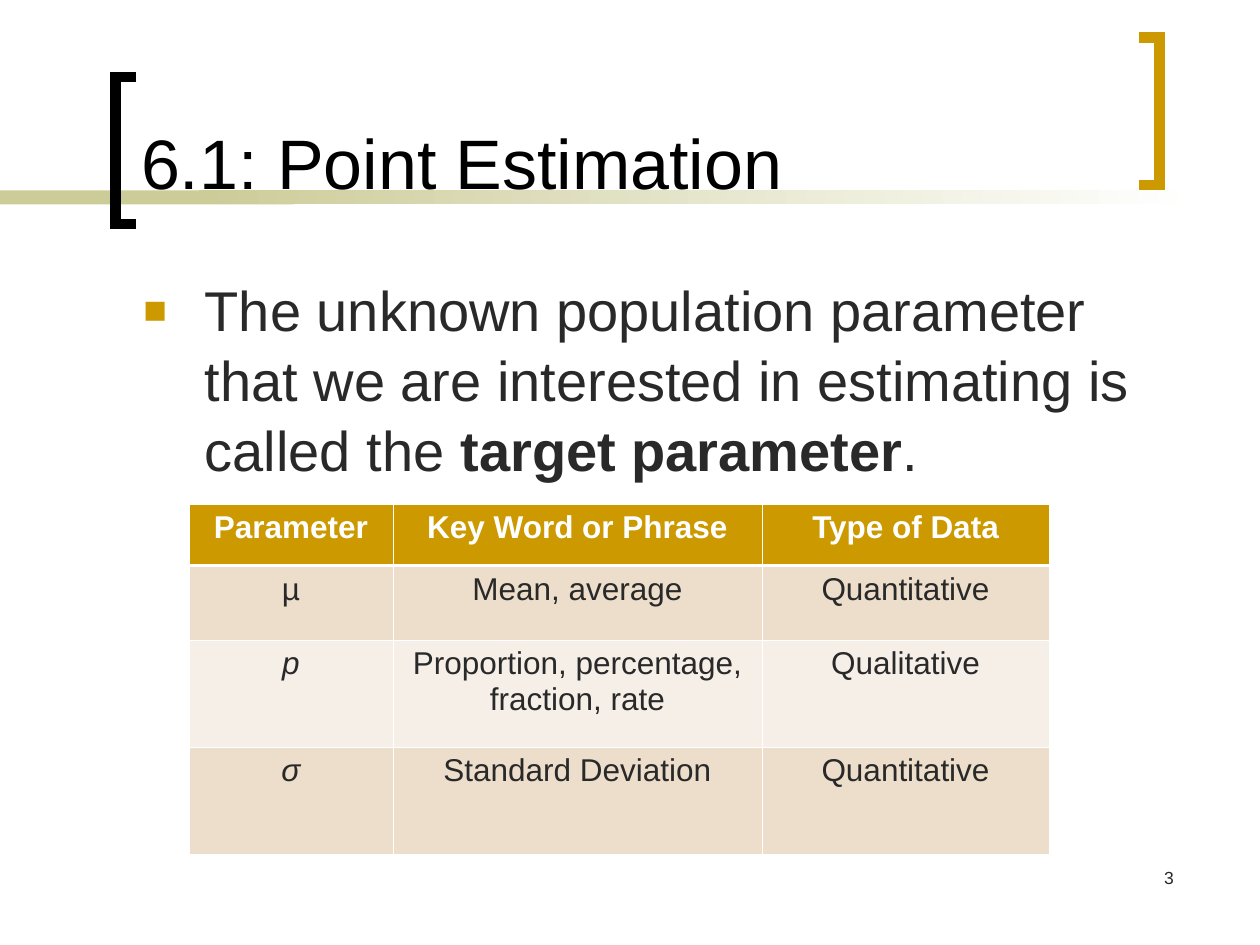
import pptx
import pptx.util
import pptx.dml.color
import pptx.enum.shapes
import pptx.enum.text
import pptx.oxml
from dataclasses import dataclass
from lxml import etree

Cm = pptx.util.Cm
Pt = pptx.util.Pt
Align = pptx.enum.text.PP_ALIGN
NS = "http://schemas.openxmlformats.org/drawingml/2006/main"


@dataclass(frozen=True)
class Theme:
    font: str = "Arial"
    gold: str = "CC9900"
    olive: str = "CCCC99"
    black: str = "000000"
    ink: str = "292929"
    white: str = "FFFFFF"
    sand: str = "ECDECB"
    cream: str = "F6EFE7"
    head: int = 40
    body: int = 32
    cell: int = 18
    note: int = 10


T = Theme()


def rgb(code):
    return pptx.dml.color.RGBColor.from_string(code)


def add_run(para, text, size, color, bold=False, italic=False):
    run = para.add_run()
    run.text = text
    font = run.font
    font.name, font.size = T.font, Pt(size)
    font.bold, font.italic = bold, italic
    font.color.rgb = rgb(color)


def add_text(slide, box):
    frame = slide.shapes.add_textbox(*map(Cm, box)).text_frame
    frame.word_wrap = True
    return frame


def add_bar(slide, box, fade=False):
    bar = slide.shapes.add_shape(
        pptx.enum.shapes.MSO_SHAPE.RECTANGLE, *map(Cm, box))
    bar.shadow.inherit = False
    bar.line.fill.background()
    if fade:
        bar.fill.gradient()
        bar.fill.gradient_angle = 0
        for stop, code in zip(bar.fill.gradient_stops, (T.olive, T.white)):
            stop.color.rgb = rgb(code)
    else:
        bar.fill.solid()
        bar.fill.fore_color.rgb = rgb(T.olive)


def add_hook(slide, box, color, right=False):
    """Square bracket that opens to the right, or to the left."""
    x, y, w, h = box
    tip, back = (x, x + w) if right else (x + w, x)
    pts = [(tip, y), (back, y), (back, y + h), (tip, y + h)]
    pts = [(Cm(a), Cm(b)) for a, b in pts]
    pen = slide.shapes.build_freeform(*pts[0])
    pen.add_line_segments(pts[1:], close=False)
    hook = pen.convert_to_shape()
    hook.shadow.inherit = False
    hook.fill.background()
    hook.line.color.rgb = rgb(color)
    hook.line.width = Pt(6)
    etree.SubElement(hook.line._get_or_add_ln(), f"{{{NS}}}miter", lim="800000")


def add_head(slide, box, text):
    x, y, w, h = box
    # Band and brackets
    split = 4.01
    add_bar(slide, (x, y + 3.84, split + 1.91, 0.28))
    add_bar(slide, (x + split, y + 3.84, w - split - 1.27, 0.28), fade=True)
    add_hook(slide, (x + 2.33, y + 1.55, 0.42, 2.97), T.black)
    add_hook(slide, (x + 22.96, y + 0.76, 0.42, 2.97), T.gold, right=True)
    # Title, in front of the band
    title = slide.shapes.title
    title.left, title.top = Cm(x + 2.59), Cm(y + 0.28)
    title.width, title.height = Cm(19.89), Cm(3.94)
    frame = title.text_frame
    frame.word_wrap = True
    frame.vertical_anchor = pptx.enum.text.MSO_ANCHOR.BOTTOM
    para = frame.paragraphs[0]
    para.alignment = Align.LEFT
    add_run(para, text, T.head, T.black)
    slide.shapes.element.append(title.element)


def add_point(slide, box, parts):
    frame = add_text(slide, box)
    frame.margin_top = frame.margin_bottom = 0
    para = frame.paragraphs[0]
    para.space_before = Pt(8)
    para.line_spacing = 1.04
    # Square bullet with a hanging indent
    props = para._p.get_or_add_pPr()
    props.set("marL", str(Cm(1.24)))
    props.set("indent", str(-Cm(1.24)))
    for xml in (
        f'<a:buClr xmlns:a="{NS}"><a:srgbClr val="{T.gold}"/></a:buClr>',
        f'<a:buSzPct xmlns:a="{NS}" val="70000"/>',
        f'<a:buFont xmlns:a="{NS}" typeface="{T.font}"/>',
        f'<a:buChar xmlns:a="{NS}" char="■"/>',
    ):
        props.append(pptx.oxml.parse_xml(xml))
    for text, bold in parts:
        add_run(para, text, T.body, T.ink, bold)


def add_edges(cell, row):
    props = cell._tc.get_or_add_tcPr()
    for side in "LRTB":
        thick = (row, side) in ((0, "B"), (1, "T"))
        width = Pt(1.47 if thick else 0.45)
        props.append(pptx.oxml.parse_xml(
            f'<a:ln{side} xmlns:a="{NS}" w="{width}"><a:solidFill>'
            f'<a:srgbClr val="{T.white}"/></a:solidFill></a:ln{side}>'))


def add_grid(slide, box, wides, highs, rows):
    grid = slide.shapes.add_table(
        len(rows), len(wides), *map(Cm, box)).table
    for col, wide in zip(grid.columns, wides):
        col.width = Cm(wide)
    for r, (texts, high) in enumerate(zip(rows, highs)):
        grid.rows[r].height = Cm(high)
        top = r == 0
        fill = T.gold if top else (T.cream, T.sand)[r % 2]
        for c, text in enumerate(texts):
            cell = grid.cell(r, c)
            add_edges(cell, r)
            cell.fill.solid()
            cell.fill.fore_color.rgb = rgb(fill)
            para = cell.text_frame.paragraphs[0]
            para.alignment = Align.CENTER
            add_run(para, text, T.cell, T.white if top else T.ink,
                    bold=top, italic=text in ("p", "σ"))


def add_foot(slide, box, text):
    para = add_text(slide, box).paragraphs[0]
    para.alignment = Align.RIGHT
    add_run(para, text, T.note, T.ink)


def main():
    deck = pptx.Presentation()
    deck.slide_width, deck.slide_height = Cm(25.4), Cm(19.05)
    slide = deck.slides.add_slide(deck.slide_layouts[5])
    add_head(slide, (0, 0, 25.4, 4.52), "6.1: Point Estimation")
    add_point(slide, (2.64, 5.51, 21.29, 4.45), [
        ("The unknown population parameter that we are interested in "
         "estimating is called the ", False),
        ("target parameter", True),
        (".", False),
    ])
    add_foot(slide, (18.62, 17.35, 5.29, 1.27), "3")
    add_grid(slide, (3.81, 10.16, 17.34, 7.06),
             (4.11, 7.44, 5.79), (1.24, 1.5, 2.16, 2.16), [
        ("Parameter", "Key Word or Phrase", "Type of Data"),
        ("µ", "Mean, average", "Quantitative"),
        ("p", "Proportion, percentage, fraction, rate", "Qualitative"),
        ("σ", "Standard Deviation", "Quantitative"),
    ])
    deck.save("out.pptx")


if __name__ == "__main__":
    main()
